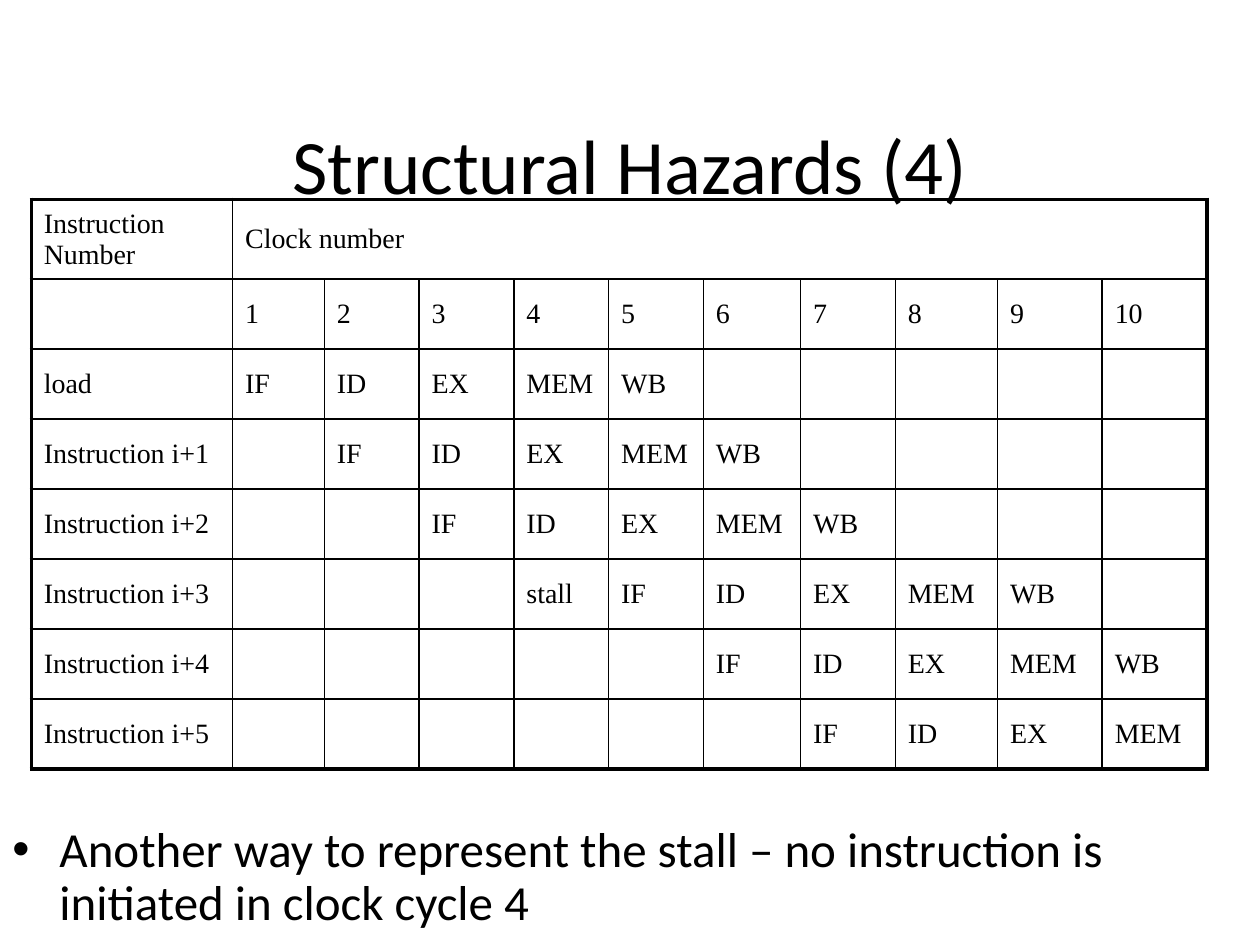
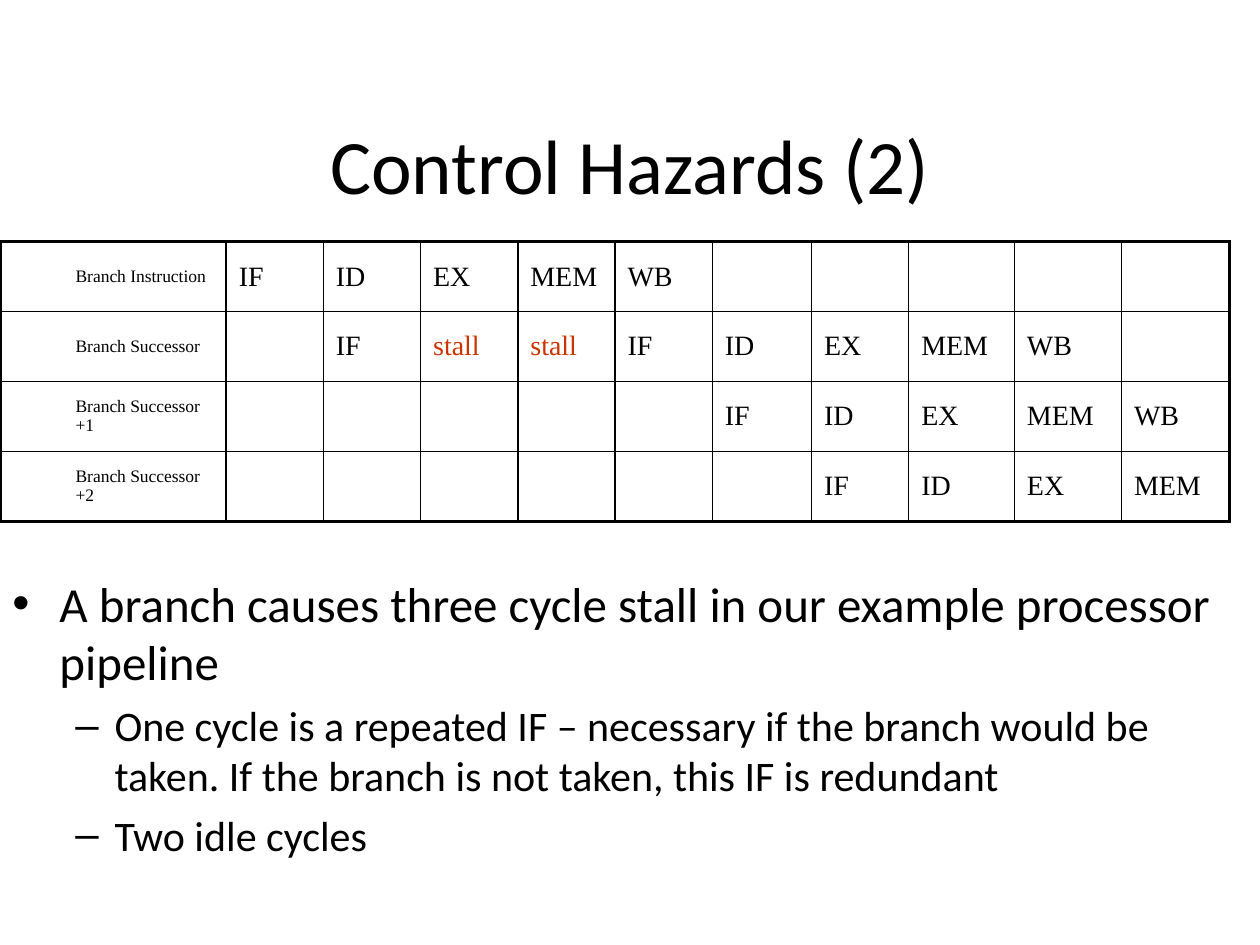
"""Build two slides on pipeline hazards, each with a clock-cycle table and bullets."""
from lxml import etree
from pptx import Presentation
from pptx.dml.color import RGBColor
from pptx.enum.text import MSO_ANCHOR, PP_ALIGN
from pptx.oxml.ns import qn
from pptx.util import Cm, Pt

MIDDLE = MSO_ANCHOR.MIDDLE
CENTER = PP_ALIGN.CENTER
BLACK, STALL_RED = "000000", "CC3300"
HEADING_FONT, TABLE_FONT = "Calibri", "Times New Roman"
TITLE_ONLY = 5
CYCLES = 10
ROW_HEIGHT = 1.41
THIN, THICK = 1, 2.25
BULLETS = [
    {"bullet": "•", "margin": 0.95, "hanging": 0.95, "size": 28},
    {"bullet": "–", "margin": 2.06, "hanging": 0.79, "size": 24},
]
PIPELINE = "IF ID EX MEM WB"

SLIDES = [
    {
        "title": "Structural Hazards (4)",
        "headers": ("Instruction Number", "Clock number"),
        "instructions": [
            ("load", 1, PIPELINE),
            ("Instruction i+1", 2, PIPELINE),
            ("Instruction i+2", 3, PIPELINE),
            ("Instruction i+3", 4, "stall " + PIPELINE),
            ("Instruction i+4", 6, PIPELINE),
            ("Instruction i+5", 7, PIPELINE),
        ],
        "label_format": {"size": 16},
        "stall_color": BLACK,
        "table_at": (0.63, 4.02),
        "columns": [4.06, 1.85] + [1.91] * 4 + [1.96, 1.91, 2.06, 2.11, 2.11],
        "points_at": (16.51, 2.54),
        "line_spacing": 0.9,
        "points": [
            (0, "Another way to represent the stall – no instruction is initiated in clock cycle 4"),
        ],
    },
    {
        "title": "Control Hazards (2)",
        "headers": None,
        "instructions": [
            ("Branch Instruction", 1, PIPELINE),
            ("Branch Successor", 2, "IF stall stall " + PIPELINE),
            ("Branch Successor +1", 6, PIPELINE),
            ("Branch Successor +2", 7, PIPELINE),
        ],
        "label_format": {"size": 10, "margin": 1.27},
        "stall_color": STALL_RED,
        "table_at": (0, 4.87),
        "columns": [4.56] + [1.96] * 5 + [2, 1.96, 2.13, 2.16, 2.18],
        "points_at": (11.43, 6.35),
        "line_spacing": 1.0,
        "points": [
            (0, "A branch causes three cycle stall in our example processor pipeline"),
            (1, "One cycle is a repeated IF – necessary if the branch would be taken. "
                "If the branch is not taken, this IF is redundant"),
            (1, "Two idle cycles"),
        ],
    },
]


def rgb(color):
    return RGBColor.from_string(color)


def write(frame, text, size=16, font=HEADING_FONT, color=BLACK, align=None,
          bullet=None, margin=0, hanging=0, line_spacing=None):
    first = not frame.text
    paragraph = frame.paragraphs[0] if first else frame.add_paragraph()
    properties = paragraph._p.get_or_add_pPr()
    properties.set("marL", str(Cm(margin)))
    properties.set("indent", str(-Cm(hanging)))
    if bullet:
        etree.SubElement(properties, qn("a:buFont")).set("typeface", "Arial")
        etree.SubElement(properties, qn("a:buChar")).set("char", bullet)
    if not first:
        paragraph.space_before = Pt(round(size * 0.2))
    if line_spacing:
        paragraph.line_spacing = line_spacing
    if align:
        paragraph.alignment = align
    run = paragraph.add_run()
    run.text = text
    run.font.size = Pt(size)
    run.font.name = font
    run.font.color.rgb = rgb(color)


def border(cell, side, width):
    line = etree.SubElement(cell._tc.get_or_add_tcPr(), qn(f"a:ln{side}"), w=str(Pt(width)))
    fill = etree.SubElement(line, qn("a:solidFill"))
    etree.SubElement(fill, qn("a:srgbClr"), val=BLACK)


def frame_cells(table):
    last_row, last_column = len(table.rows) - 1, len(table.columns) - 1
    for r in range(last_row + 1):
        for c in range(last_column + 1):
            cell = table.cell(r, c)
            right = c + (cell.span_width - 1 if cell.is_merge_origin else 0)
            outer = {"L": c == 0, "R": right == last_column, "T": r == 0, "B": r == last_row}
            for side, is_outer in outer.items():
                border(cell, side, THICK if is_outer else THIN)
            cell.fill.background()
            cell.vertical_anchor = MIDDLE


def add_cycle_table(slide, content):
    headers, instructions = content["headers"], content["instructions"]
    header_rows = 2 if headers else 0
    row_count = header_rows + len(instructions)
    left, top = content["table_at"]
    table = slide.shapes.add_table(
        row_count, CYCLES + 1, Cm(left), Cm(top),
        Cm(sum(content["columns"])), Cm(ROW_HEIGHT * row_count)).table
    table.first_row = table.horz_banding = False
    for column, width in zip(table.columns, content["columns"]):
        column.width = Cm(width)

    def fill_in(row, column, text, **text_format):
        write(table.cell(row, column).text_frame, text, font=TABLE_FONT, **text_format)

    if headers:
        table.cell(0, 1).merge(table.cell(0, CYCLES))
        for column, header in enumerate(headers):
            fill_in(0, column, header)
        for cycle in range(1, CYCLES + 1):
            fill_in(1, cycle, str(cycle))
    for row, (label, start, stages) in enumerate(instructions, header_rows):
        fill_in(row, 0, label, **content["label_format"])
        for cycle, stage in zip(range(start, CYCLES + 1), stages.split()):
            fill_in(row, cycle, stage,
                    color=content["stall_color"] if stage == "stall" else BLACK)
    frame_cells(table)


def add_title(slide, text):
    title = slide.shapes.title
    title.left, title.top, title.width, title.height = Cm(1.27), Cm(1.7), Cm(22.86), Cm(3.18)
    title.text_frame.vertical_anchor = MIDDLE
    write(title.text_frame, text, size=44, align=CENTER)


def add_points(slide, content):
    top, height = content["points_at"]
    frame = slide.shapes.add_textbox(0, Cm(top), Cm(25.4), Cm(height)).text_frame
    frame.word_wrap = True
    for level, text in content["points"]:
        write(frame, text, line_spacing=content["line_spacing"], **BULLETS[level])


def main():
    deck = Presentation()
    deck.slide_width, deck.slide_height = Cm(25.4), Cm(19.05)
    for content in SLIDES:
        slide = deck.slides.add_slide(deck.slide_layouts[TITLE_ONLY])
        add_title(slide, content["title"])
        add_points(slide, content)
        add_cycle_table(slide, content)
    deck.save("out.pptx")


if __name__ == "__main__":
    main()
